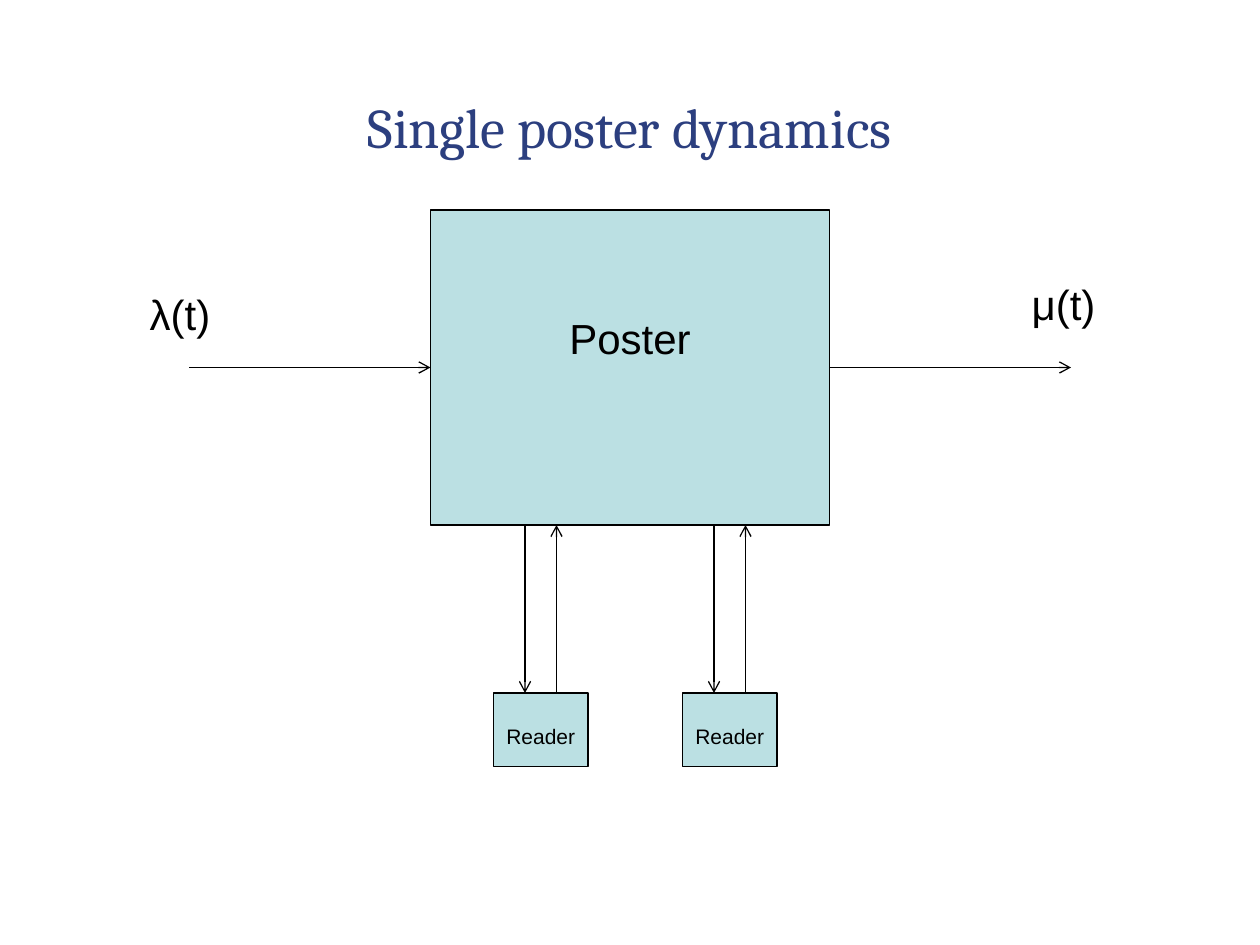
from lxml import etree
from pptx import Presentation
from pptx.dml.color import RGBColor
from pptx.enum.shapes import MSO_CONNECTOR, MSO_SHAPE
from pptx.enum.text import MSO_ANCHOR, PP_ALIGN
from pptx.oxml.ns import qn
from pptx.util import Pt

PX = 9525  # 96 px to the inch
NAVY = RGBColor(0x2C, 0x3F, 0x7F)
BLACK = RGBColor(0x00, 0x00, 0x00)
PALE_BLUE = RGBColor(0xBB, 0xE0, 0xE3)
RECTANGLE = MSO_SHAPE.RECTANGLE
STRAIGHT = MSO_CONNECTOR.STRAIGHT
LEFT, CENTER = PP_ALIGN.LEFT, PP_ALIGN.CENTER
TOP, MIDDLE = MSO_ANCHOR.TOP, MSO_ANCHOR.MIDDLE


class Diagram:
    body_font = "Arial"
    title_font = "Cambria"
    line_width = Pt(0.75)

    def __init__(self, slide):
        self.shapes = slide.shapes

    def set_text(self, shape, text, size, align, anchor, top=5, side=10,
                 font=body_font, color=BLACK):
        frame = shape.text_frame
        frame.word_wrap = True
        frame.vertical_anchor = anchor
        frame.margin_left = frame.margin_right = side * PX
        frame.margin_top, frame.margin_bottom = top * PX, 5 * PX
        paragraph = frame.paragraphs[0]
        paragraph.alignment = align
        run = paragraph.add_run()
        run.text = text
        run.font.name = font
        run.font.size = Pt(size)
        run.font.color.rgb = color

    def title(self, text, left, top, width, height):
        box = self.shapes.add_textbox(left * PX, top * PX, width * PX, height * PX)
        self.set_text(box, text, 32, CENTER, MIDDLE, font=self.title_font, color=NAVY)

    def label(self, text, left, top, width, height):
        box = self.shapes.add_textbox(left * PX, top * PX, width * PX, height * PX)
        self.set_text(box, text, 24, LEFT, TOP)

    def box(self, text, size, left, top, width, height, text_top, parent=None):
        shapes = self.shapes if parent is None else parent
        shape = shapes.add_shape(RECTANGLE, left * PX, top * PX, width * PX, height * PX)
        shape.shadow.inherit = False
        shape.fill.solid()
        shape.fill.fore_color.rgb = PALE_BLUE
        shape.line.color.rgb = BLACK
        shape.line.width = self.line_width
        self.set_text(shape, text, size, CENTER, TOP, top=text_top, side=0)

    def arrow(self, x1, y1, x2, y2, parent=None):
        shapes = self.shapes if parent is None else parent
        connector = shapes.add_connector(STRAIGHT, x1 * PX, y1 * PX, x2 * PX, y2 * PX)
        connector.line.color.rgb = BLACK
        connector.line.width = self.line_width
        properties = connector._element.spPr
        outline = properties.find(qn("a:ln"))
        etree.SubElement(outline, qn("a:tailEnd"), type="arrow")
        etree.SubElement(properties, qn("a:effectLst"))

    def reader(self, left, top, source_bottom):
        """A reader box with one arrow each way to the poster above it."""
        group = self.shapes.add_group_shape().shapes
        self.arrow(left + 24, source_bottom, left + 24, top, group)
        self.arrow(left + 48, top, left + 48, source_bottom, group)
        self.box("Reader", 12, left, top, 72, 56, 23, group)


def main():
    presentation = Presentation()
    presentation.slide_width = 960 * PX
    presentation.slide_height = 720 * PX
    slide = presentation.slides.add_slide(presentation.slide_layouts[6])
    diagram = Diagram(slide)

    diagram.title("Single poster dynamics", 72, 56, 816, 80)

    # Poster with its inflow and outflow
    left, top, width, height = 328, 160, 304, 240
    right, bottom, flow_y, flow_length = left + width, top + height, 280, 184
    diagram.box("Poster", 24, left, top, width, height, 78)
    diagram.arrow(right, flow_y, right + flow_length, flow_y)
    diagram.arrow(left - flow_length, flow_y, left, flow_y)

    # Readers
    for reader_left in (520, 376):
        diagram.reader(reader_left, 528, bottom)

    # Rates
    diagram.label("λ(t)", 104, 215, 184, 48)
    diagram.label("μ(t)", 776, 207, 184, 48)

    presentation.save("out.pptx")


if __name__ == "__main__":
    main()
